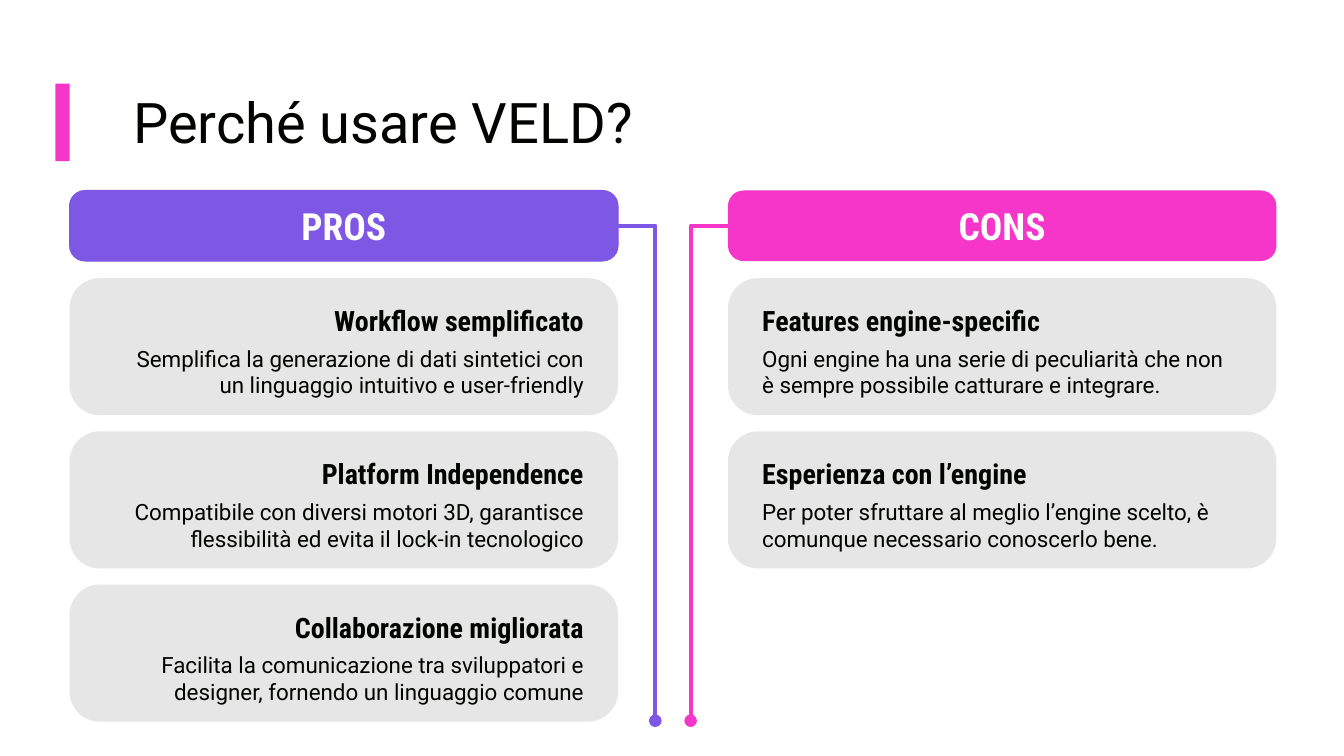
from lxml.etree import SubElement
from pptx import Presentation
from pptx.dml.color import RGBColor
from pptx.enum.shapes import MSO_CONNECTOR, MSO_SHAPE
from pptx.enum.text import MSO_ANCHOR, PP_ALIGN
from pptx.oxml.ns import qn
from pptx.util import Inches, Pt

TITLE = "Perché usare VELD?"
INK, WHITE, GREY, PURPLE, PINK = "010400", "FFFFFF", "E7E6E6", "7E57E4", "F636C9"

COLUMNS = [
    {
        "name": "PROS", "color": PURPLE, "border": 0.75, "left": 0.69,
        "text_left": 1.03, "align": PP_ALIGN.RIGHT, "line": (6.13, 6.5),
        "cards": [
            ("Workflow semplificato",
             "Semplifica la generazione di dati sintetici con un linguaggio intuitivo e user-friendly"),
            ("Platform Independence",
             "Compatibile con diversi motori 3D, garantisce flessibilità ed evita il lock-in tecnologico"),
            ("Collaborazione migliorata",
             "Facilita la comunicazione tra sviluppatori e designer, fornendo un linguaggio comune"),
        ],
    },
    {
        "name": "CONS", "color": PINK, "border": 0, "left": 7.22,
        "text_left": 7.43, "align": PP_ALIGN.LEFT, "line": (7.22, 6.85),
        "cards": [
            ("Features engine-specific",
             "Ogni engine ha una serie di peculiarità che non è sempre possibile catturare e integrare."),
            ("Esperienza con l’engine",
             "Per poter sfruttare al meglio l’engine scelto, è comunque necessario conoscerlo bene."),
        ],
    },
]

COLUMN_WIDTH, TEXT_WIDTH, TEXT_HEIGHT = 5.44, 4.89, 0.6
HEADER_TOP, HEADER_HEIGHT = 1.89, 0.7
CARD_TOP, CARD_HEIGHT, CARD_STEP = 2.76, 1.36, 1.52
HEADING_OFFSET, DETAIL_OFFSET = 0.12, 0.53
LINE_TOP, LINE_BOTTOM = 2.24, 7.15
CORNER, INSET = 0.22, 0.13

TITLE_FONT = {"name": "Roboto", "size": Pt(40), "bold": False}
HEADER_FONT = {"name": "Roboto Condensed", "size": Pt(26.7), "bold": True}
HEADING_FONT = {"name": "Roboto Condensed", "size": Pt(20), "bold": True}
DETAIL_FONT = {"name": "Roboto", "size": Pt(16), "bold": False}


def paint(color_format, value):
    color_format.rgb = RGBColor.from_string(value)


def write(box, text, font, color, align, anchor, inset=INSET):
    frame = box.text_frame
    margins = {f"margin_{side}": Inches(inset) for side in ("left", "top", "right", "bottom")}
    for key, value in {"word_wrap": True, "vertical_anchor": anchor, **margins}.items():
        setattr(frame, key, value)
    para = frame.paragraphs[0]
    para.alignment = align
    span = para.add_run()
    span.text = text
    for key, value in font.items():
        setattr(span.font, key, value)
    paint(span.font.color, color)
    return para


def add_panel(page, kind, place, color, border=0):
    panel = page.shapes.add_shape(kind, *map(Inches, place))
    panel.shadow.inherit = False
    panel.fill.solid()
    paint(panel.fill.fore_color, color)
    if border:
        paint(panel.line.color, color)
        panel.line.width = Pt(border)
    else:
        panel.line.fill.background()
    if kind == MSO_SHAPE.ROUNDED_RECTANGLE:
        panel.adjustments[0] = CORNER
    return panel


def add_text(page, place, text, font, align, anchor):
    box = page.shapes.add_textbox(*map(Inches, place))
    write(box, text, font, INK, align, anchor)


def add_bent_line(page, start, end, color):
    line = page.shapes.add_connector(MSO_CONNECTOR.ELBOW, *map(Inches, start + end))
    paint(line.line.color, color)
    line.line.width = Pt(3)
    properties = line._element.spPr
    properties.find(qn("a:prstGeom")).set("prst", "bentConnector2")
    SubElement(properties.find(qn("a:ln")), qn("a:tailEnd"), type="oval")
    SubElement(properties, qn("a:effectLst"))


def add_column(page, column):
    left, align = column["left"], column["align"]
    start, end = column["line"]
    add_bent_line(page, (start, LINE_TOP), (end, LINE_BOTTOM), column["color"])
    header = add_panel(page, MSO_SHAPE.ROUNDED_RECTANGLE,
                       (left, HEADER_TOP, COLUMN_WIDTH, HEADER_HEIGHT),
                       column["color"], column["border"])
    write(header, column["name"], HEADER_FONT, WHITE, PP_ALIGN.CENTER, MSO_ANCHOR.MIDDLE)
    for row, (heading, detail) in enumerate(column["cards"]):
        top = CARD_TOP + row * CARD_STEP
        add_panel(page, MSO_SHAPE.ROUNDED_RECTANGLE,
                  (left, top, COLUMN_WIDTH, CARD_HEIGHT), GREY)
        for text, font, offset, anchor in (
            (heading, HEADING_FONT, HEADING_OFFSET, MSO_ANCHOR.MIDDLE),
            (detail, DETAIL_FONT, DETAIL_OFFSET, MSO_ANCHOR.TOP),
        ):
            place = (column["text_left"], top + offset, TEXT_WIDTH, TEXT_HEIGHT)
            add_text(page, place, text, font, align, anchor)


def main():
    deck = Presentation()
    deck.slide_width, deck.slide_height = Inches(13.33), Inches(7.5)
    page = deck.slides.add_slide(deck.slide_layouts[5])
    title = page.shapes.title
    title.left, title.top, title.width, title.height = map(Inches, (1.22, 0.6, 11.12, 1.29))
    para = write(title, TITLE, TITLE_FONT, INK, PP_ALIGN.LEFT, MSO_ANCHOR.MIDDLE, 0.1)
    para.line_spacing = 0.9
    add_panel(page, MSO_SHAPE.RECTANGLE, (0.55, 0.83, 0.14, 0.77), PINK)
    for column in COLUMNS:
        add_column(page, column)
    deck.save("out.pptx")


if __name__ == "__main__":
    main()
